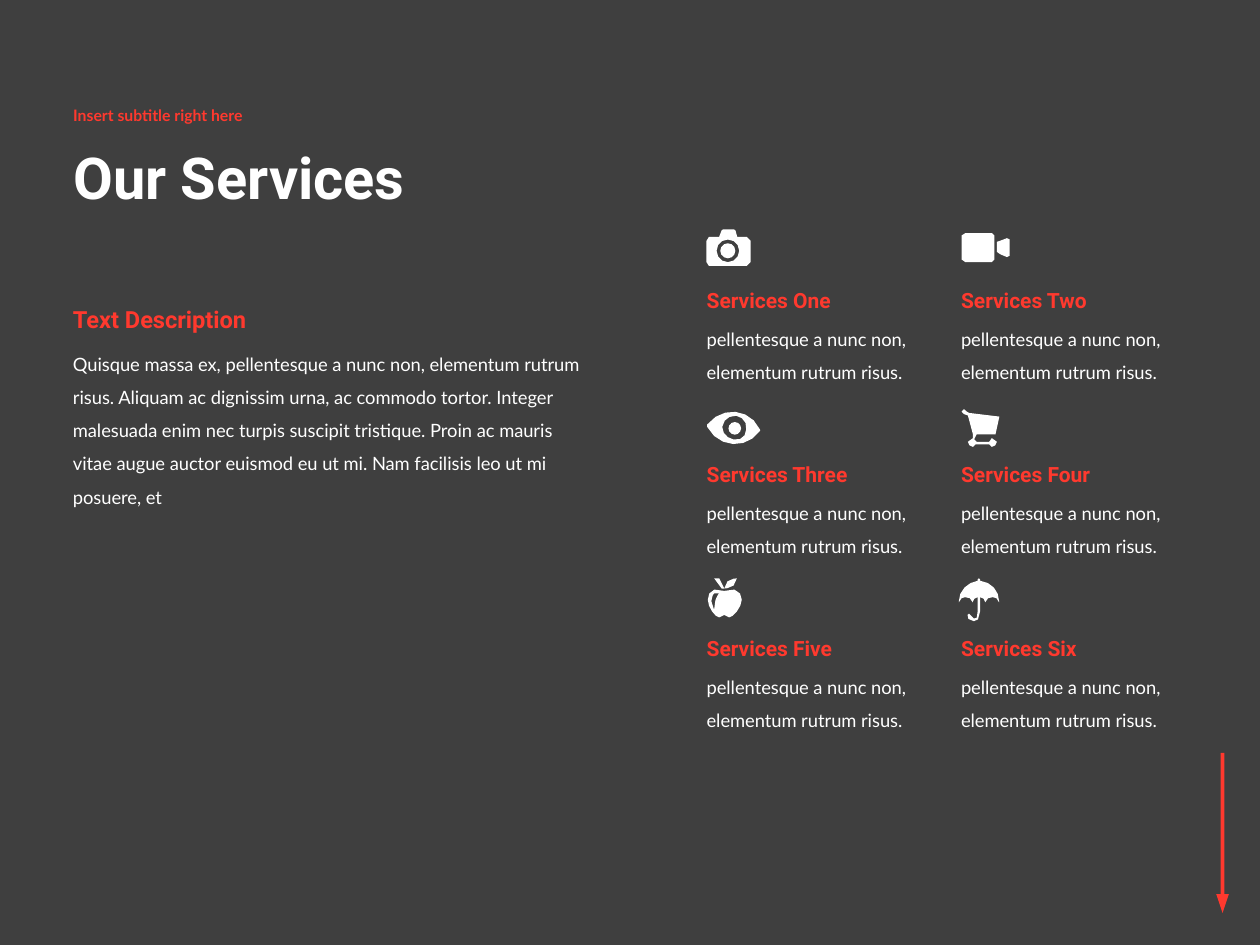
from dataclasses import dataclass
from math import ceil, dist
from typing import NamedTuple

from pptx import Presentation
from pptx.dml.color import RGBColor
from pptx.enum.shapes import MSO_SHAPE
from pptx.enum.text import MSO_ANCHOR, MSO_AUTO_SIZE, PP_ALIGN
from pptx.util import Pt


@dataclass(frozen=True)
class Theme:
    back: RGBColor = RGBColor(0x3F, 0x3F, 0x3F)
    red: RGBColor = RGBColor(0xFF, 0x39, 0x2E)
    white: RGBColor = RGBColor(0xFF, 0xFF, 0xFF)
    head: str = "Roboto"
    text: str = "Lato"
    title: float = 33
    lead: float = 13.5
    name: float = 12
    body: float = 10.5
    small: float = 9


class Box(NamedTuple):
    left: float
    top: float
    width: float
    height: float


class Style(NamedTuple):
    face: str
    size: float
    color: RGBColor
    bold: bool = True
    space: float = 1.0


class Icon(NamedTuple):
    left: float
    top: float
    lines: tuple[str, ...]  # outlines in points, from the icon's corner
    dot: Box | None = None


class Service(NamedTuple):
    name: str
    icon: Icon


THEME = Theme()
TITLE = Style(THEME.head, THEME.title, THEME.white, space=0.9)
SUB = Style(THEME.text, THEME.small, THEME.red, space=0.9)
LEAD = Style(THEME.head, THEME.lead, THEME.red)
NAME = Style(THEME.head, THEME.name, THEME.red)
BODY = Style(THEME.text, THEME.body, THEME.white, bold=False, space=1.5)

# Icons
CAMERA = Icon(403.7, 131.1, (
    "M 23 4.3 L 17.6 4.3 L 16.6 .7 L 15.8 0 L 9.4 0 "
    "L 8.6 .7 L 7.2 4.3 L 1.4 4.3 C .7 4.3 0 5 0 6.5 L 0 18.7 "
    "C 0 20.2 .7 20.9 1.4 20.9 L 23 20.9 C 24.5 20.9 25.2 20.2 25.2 18.7 "
    "L 25.2 6.5 C 25.2 5 24.5 4.3 23 4.3 "
    "M 12.2 18.7 C 8.6 18.7 5.8 15.8 5.8 12.2 C 5.8 8.6 8.6 5.8 12.2 5.8 "
    "C 15.8 5.8 18.7 8.6 18.7 12.2 C 18.7 15.8 15.8 18.7 12.2 18.7",
), Box(7.9, 7.9, 8.6, 8.6))
VIDEO = Icon(549.5, 133.2, (
    "M 17.3 0 L 2.2 0 C .7 0 0 .7 0 1.4 L 0 15.1 C 0 15.8 .7 16.6 2.2 16.6 "
    "L 17.3 16.6 C 18 16.6 18.7 15.8 18.7 15.1 L 18.7 1.4 "
    "C 18.7 .7 18 0 17.3 0",
    "M 25.9 2.9 L 22.3 4.3 C 22.3 4.3 21.6 5 20.2 5 L 20.2 10.8 "
    "C 21.6 11.5 22.3 12.2 22.3 12.2 L 25.9 13.7 "
    "C 26.6 14.4 27.4 13.7 27.4 13 L 27.4 3.6 C 27.4 2.9 26.6 2.2 25.9 2.9",
))
EYE = Icon(404.1, 231.8, (
    "M 0 10.8 L 0 12.2 C 6.5 24.5 23 25.2 30.2 14.4 L 30.2 13.7 "
    "C 24.5 1.4 8.6 0 0 10.8 "
    "M 15.1 19.4 C 11.5 18.7 8.6 15.8 8.6 12.2 C 9.4 7.9 12.2 5.8 16.6 5.8 "
    "C 20.2 6.5 23 9.4 22.3 13.7 C 22.3 17.3 19.4 20.2 15.1 19.4",
), Box(12.2, 9.4, 7.2, 7.2))
CART = Icon(549.5, 233.8, (
    "M 17.3 16.6 C 16.6 16.6 15.8 17.3 15.8 18.7 L 8.6 18.7 "
    "C 7.9 18 7.9 17.3 7.2 17.3 L 8.6 14.4 L 19.4 14.4 L 21.6 4.3 L 4.3 2.2 "
    "L 2.9 1.4 C 2.9 .7 2.2 0 1.4 0 C .7 0 0 .7 0 1.4 C 0 2.2 .7 2.9 1.4 2.9 "
    "L 3.6 3.6 L 6.5 14.4 L 6.5 16.6 C 5 16.6 3.6 18 3.6 18.7 "
    "C 3.6 20.2 5 21.6 6.5 21.6 C 7.2 21.6 7.9 20.9 7.9 20.2 L 15.8 20.2 "
    "C 15.8 20.9 16.6 21.6 17.3 21.6 C 18.7 21.6 20.2 20.2 20.2 18.7 "
    "C 20.2 18 18.7 16.6 17.3 16.6",
))
APPLE = Icon(404.5, 330.5, (
    "M 9.4 7.2 C 2.2 4.3 0 8.6 0 12.2 C 0 16.6 4.3 22.3 6.5 22.3 "
    "C 9.4 22.3 9.4 20.9 9.4 20.9 C 9.4 20.9 9.4 22.3 12.2 22.3 "
    "C 14.4 22.3 19.4 16.6 19.4 12.2 C 19.4 8.6 16.6 4.3 9.4 7.2 "
    "M 3.6 18 C 0 12.2 3.6 8.6 3.6 8.6 L 6.5 8.6 C 6.5 8.6 3.6 10.8 3.6 18",
    "M 9.4 5.8 C 7.9 2.9 6.5 0 6.5 0 L 3.6 0 L 7.9 5.8",
    "M 16.6 0 C 16.6 0 9.4 0 9.4 5.8 C 9.4 5.8 16.6 5.8 16.6 0",
))
SHADE = Icon(547.9, 330.5, (
    "M 12.2 1.4 L 12.2 .7 L 11.5 0 L 10.8 .7 "
    "L 10.8 1.4 C 5 2.2 0 7.2 0 13 L 0 13.7 C .7 11.5 2.2 10.8 3.6 10.8 "
    "C 5.8 10.8 7.2 11.5 7.9 13.7 C 7.9 12.2 9.4 10.8 10.8 10.8 L 10.8 18.7 "
    "C 10.8 23 10.1 23 8.6 23 C 6.5 23 6.5 22.3 6.5 20.9 "
    "L 5.8 20.2 L 5 20.9 "
    "C 5 22.3 5 24.5 8.6 24.5 C 10.1 24.5 12.2 23.8 12.2 18.7 L 12.2 10.8 "
    "C 13.7 10.8 15.1 12.2 15.1 13.7 C 15.8 11.5 17.3 10.8 19.4 10.8 "
    "C 20.9 10.8 22.3 11.5 23 13.7 L 23 13 C 23 7.2 18.7 2.2 12.2 1.4",
))
ITEMS = (
    Service("Services One", CAMERA), Service("Services Two", VIDEO),
    Service("Services Three", EYE), Service("Services Four", CART),
    Service("Services Five", APPLE), Service("Services Six", SHADE),
)


def paint(shape, color: RGBColor) -> None:
    shape.shadow.inherit = False
    shape.fill.solid()
    shape.fill.fore_color.rgb = color
    shape.line.fill.background()


def write(shape, text: str, style: Style, anchor=MSO_ANCHOR.TOP,
          fit=MSO_AUTO_SIZE.SHAPE_TO_FIT_TEXT) -> None:
    frame = shape.text_frame
    frame.text = text
    para = frame.paragraphs[0]
    font = para.runs[0].font
    formats = {
        frame: {"word_wrap": True, "auto_size": fit, "vertical_anchor": anchor},
        para: {"alignment": PP_ALIGN.LEFT, "line_spacing": style.space,
               "space_before": Pt(0)},
        font: {"name": style.face, "size": Pt(style.size), "bold": style.bold},
    }
    for part, values in formats.items():
        for key, value in values.items():
            setattr(part, key, value)
    font.color.rgb = style.color


def label(slide, box: Box, text: str, style: Style) -> None:
    write(slide.shapes.add_textbox(*map(Pt, box)), text, style)


def fill(holder, box: Box, text: str, style: Style) -> None:
    for key, value in box._asdict().items():
        setattr(holder, key, Pt(value))
    write(holder, text, style, MSO_ANCHOR.MIDDLE, MSO_AUTO_SIZE.NONE)


def block(shapes, kind: MSO_SHAPE, box: Box, color: RGBColor):
    shape = shapes.add_shape(kind, *map(Pt, box))
    paint(shape, color)
    return shape


def trace(line: str, left: float, top: float) -> list[list[tuple]]:
    """Turn an outline into closed loops; longer curves get more steps."""
    loops = []
    for part in line.split("M")[1:]:
        loop = []
        for piece in part.replace("L", "|L").replace("C", "|C").split("|"):
            nums = [float(n) for n in piece.strip("LC ").split()]
            spots = list(zip(nums[::2], nums[1::2]))
            if len(spots) == 3:
                ends = [loop[-1], *spots]
                steps = min(6, ceil(dist(ends[0], ends[3]) / 4))
                for t in (i / steps for i in range(1, steps + 1)):
                    mix = ((1 - t) ** 3, 3 * t * (1 - t) ** 2,
                           3 * t * t * (1 - t), t ** 3)
                    loop.append(tuple(sum(m * p[k] for m, p in zip(mix, ends))
                                      for k in (0, 1)))
            else:
                loop += spots
        loops.append([(Pt(left + x), Pt(top + y)) for x, y in loop])
    return loops


def draw(slide, icon: Icon) -> None:
    many = icon.dot or len(icon.lines) > 1
    shapes = slide.shapes.add_group_shape().shapes if many else slide.shapes
    for line in icon.lines:
        first, *holes = trace(line, icon.left, icon.top)
        pen = shapes.build_freeform(*first[0])
        pen.add_line_segments(first[1:])
        for hole in holes:
            pen.move_to(*hole[0])
            pen.add_line_segments(hole[1:])
        paint(pen.convert_to_shape(), THEME.white)
    if icon.dot:
        x, y, w, h = icon.dot
        spot = Box(icon.left + x, icon.top + y, w, h)
        block(shapes, MSO_SHAPE.OVAL, spot, THEME.white)


def main() -> None:
    deck = Presentation()
    deck.slide_width, deck.slide_height = Pt(720), Pt(540)
    slide = deck.slides.add_slide(deck.slide_layouts[0])
    slide.background.fill.solid()
    slide.background.fill.fore_color.rgb = THEME.back

    # Arrow pointing down
    block(slide.shapes, MSO_SHAPE.RECTANGLE, Box(697.5, 430.2, 2.2, 80.8), THEME.red)
    tip = block(slide.shapes, MSO_SHAPE.ISOSCELES_TRIANGLE,
                Box(695, 510.9, 7.2, 10.8), THEME.red)
    tip.rotation = 180

    # Heading and description
    left = 34.6
    fill(slide.shapes.title, Box(left, 66.2, 405.4, 74.2), "Our Services", TITLE)
    fill(slide.placeholders[1], Box(left, 52.6, 405.4, 27.4),
         "Insert subtitle right here", SUB)
    label(slide, Box(left, 192.2, 305.3, 81.4),
          "Quisque massa ex, pellentesque a nunc non, elementum rutrum risus. "
          "Aliquam ac dignissim urna, ac commodo tortor. Integer malesuada enim "
          "nec turpis suscipit tristique. Proin ac mauris vitae augue auctor "
          "euismod eu ut mi. Nam facilisis leo ut mi posuere, et", BODY)
    label(slide, Box(left, 170.6, 157.7, 23.8), "Text Description", LEAD)

    # Services, two to a row
    for i, item in enumerate(ITEMS):
        row, col = divmod(i, 2)
        x, y = 396.7 + 145.4 * col, 160.9 + 99.3 * row
        draw(slide, item.icon)
        label(slide, Box(x, y + 16.9, 139, 43.2),
              "pellentesque a nunc non, elementum rutrum risus.", BODY)
        label(slide, Box(x, y, 116.6, 21.6), item.name, NAME)

    deck.save("out.pptx")


if __name__ == "__main__":
    main()
